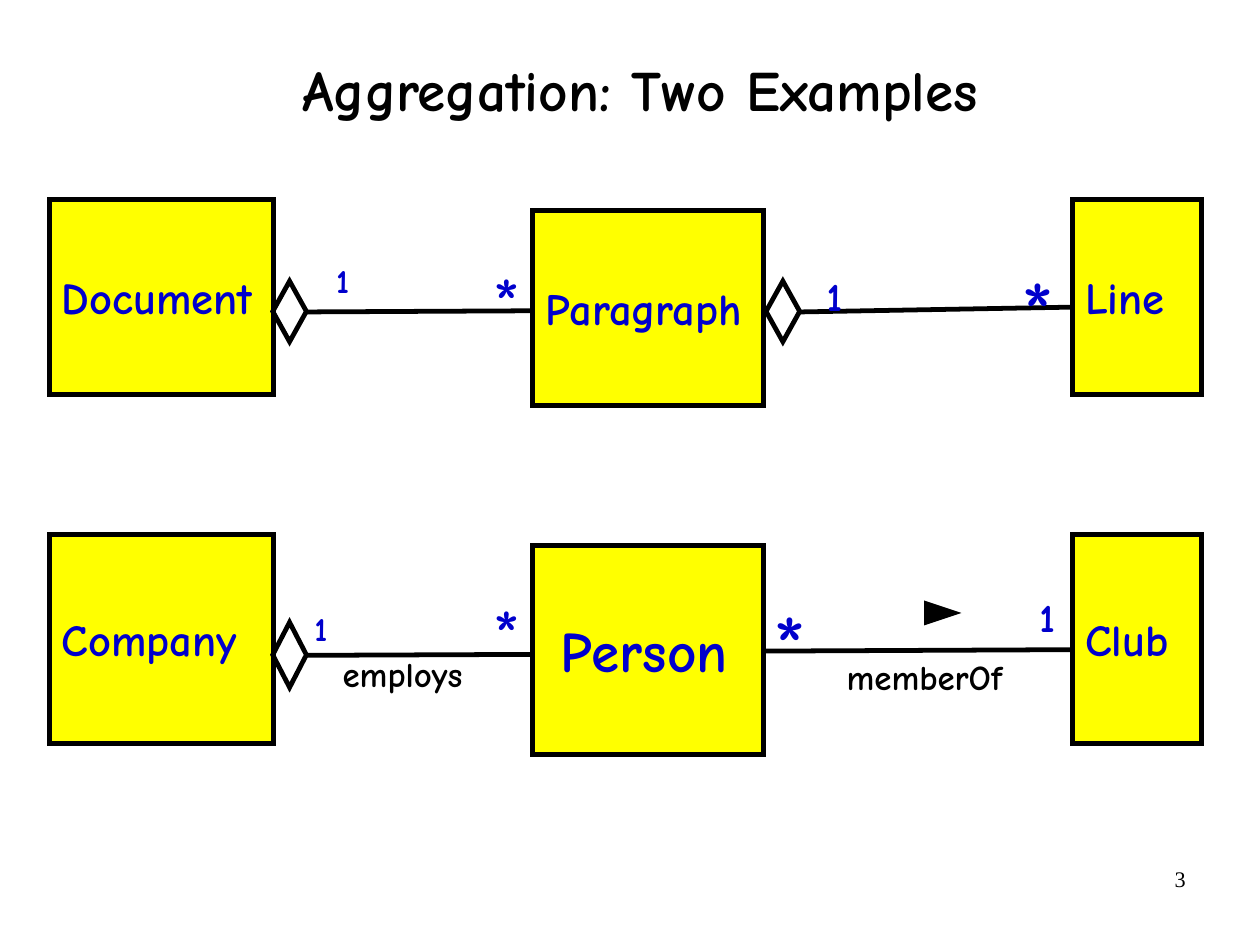
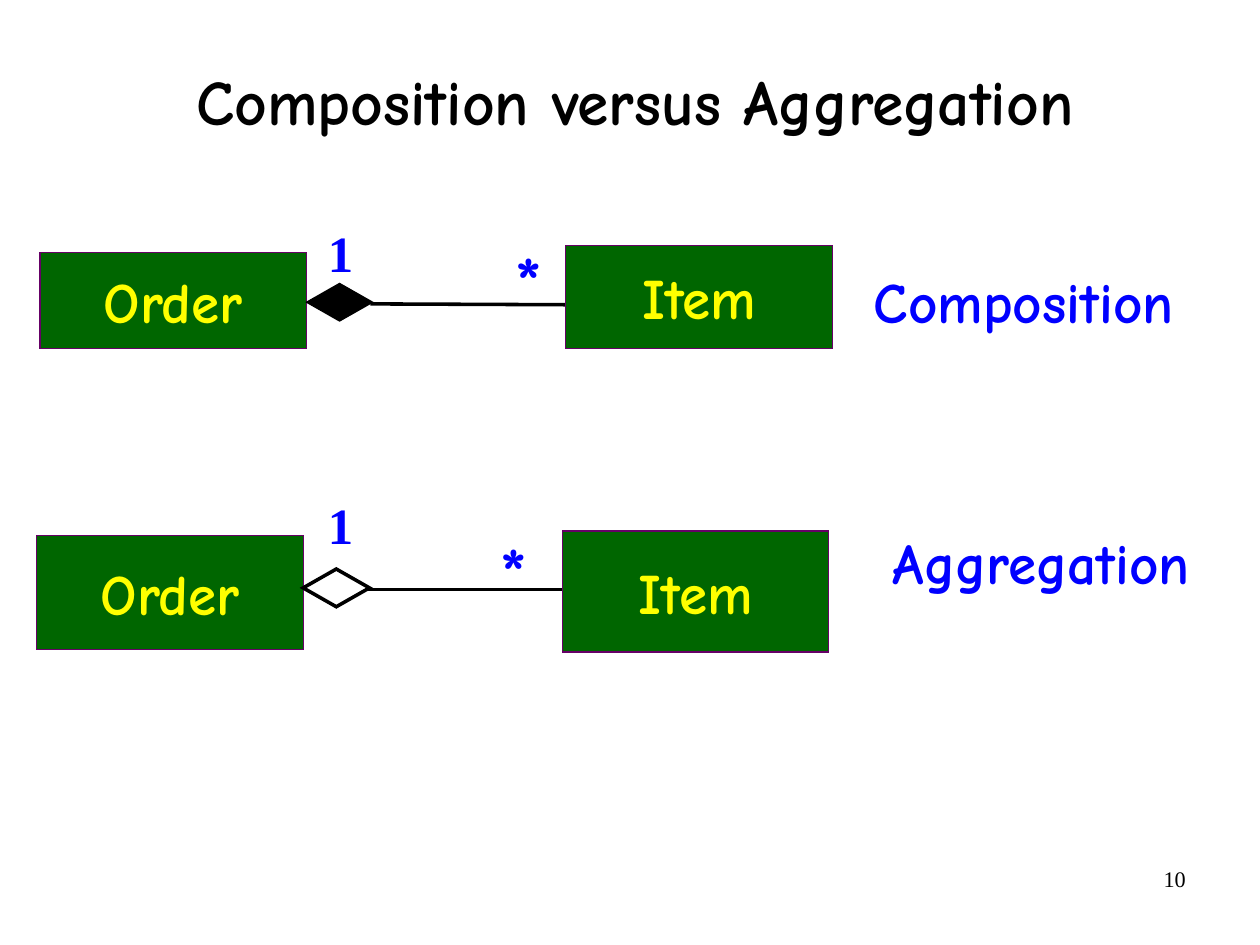
from pptx import Presentation
from pptx.dml.color import RGBColor
from pptx.enum.shapes import MSO_CONNECTOR, MSO_SHAPE
from pptx.enum.text import MSO_ANCHOR, MSO_AUTO_SIZE, PP_ALIGN
from pptx.oxml.ns import qn
from pptx.util import Cm, Emu, Inches, Pt

RECT, TRIANGLE = MSO_SHAPE.RECTANGLE, MSO_SHAPE.ISOSCELES_TRIANGLE
DECISION, DIAMOND = MSO_SHAPE.FLOWCHART_DECISION, MSO_SHAPE.DIAMOND
STRAIGHT, NO_FIT = MSO_CONNECTOR.STRAIGHT, MSO_AUTO_SIZE.NONE
TOP, MIDDLE = MSO_ANCHOR.TOP, MSO_ANCHOR.MIDDLE
LEFT, CENTER, RIGHT = PP_ALIGN.LEFT, PP_ALIGN.CENTER, PP_ALIGN.RIGHT

COLORS = {"black": "000000", "white": "FFFFFF", "yellow": "FFFF00", "navy": "0000CC",
          "blue": "0000FF", "green": "006600", "purple": "660066"}
COMIC, TIMES = "Comic Neue", "Times New Roman"

prs = Presentation()
prs.slide_width, prs.slide_height = Cm(28), Cm(21)
# The grid has 100 columns and 100 rows
COL, ROW = prs.slide_width / 100, prs.slide_height / 100


def write(shape, text, size=28, color="black", font=COMIC, bold=True, align=LEFT,
          anchor=TOP, inset=(0.1, 0.05), wrap=False, spacing=None):
    frame = shape.text_frame
    frame.auto_size, frame.word_wrap = NO_FIT, wrap
    frame.vertical_anchor = anchor
    frame.margin_left = frame.margin_right = Inches(inset[0])
    frame.margin_top = frame.margin_bottom = Inches(inset[1])
    paragraph = frame.paragraphs[0]
    paragraph.alignment, paragraph.line_spacing = align, spacing
    run = paragraph.add_run()
    run.text = text
    run.font.name, run.font.size, run.font.bold = font, Pt(size), bold
    run.font.color.rgb = RGBColor.from_string(COLORS[color])


def place(slide, x, y, width, height, preset=None, fill=None, line="black", weight=3):
    """Add a preset shape at a grid cell, or a text box when no preset is given."""
    box = Emu(int(x * COL)), Emu(int(y * ROW)), Emu(int(width * COL)), Emu(int(height * ROW))
    if preset is None:
        return slide.shapes.add_textbox(*box)
    shape = slide.shapes.add_shape(preset, *box)
    shape.shadow.inherit = False
    if fill:
        shape.fill.solid()
        shape.fill.fore_color.rgb = RGBColor.from_string(COLORS[fill])
    else:
        shape.fill.background()
    shape.line.color.rgb = RGBColor.from_string(COLORS[line])
    shape.line.width = Pt(weight)
    # Sharp corners
    outline = shape._element.spPr.find(qn("a:ln"))
    outline.append(outline.makeelement(qn("a:miter"), {"lim": "800000"}))
    return shape


# Titles, page numbers and association lines
pages = [
    ("Aggregation: Two Examples", 36, (3.15, -1.09, 95.28, 21.77), "3", 3,
     [(24.32, 33.01, 42.29, 32.89), (63.52, 33.01, 85.12, 32.5),
      (24.32, 69.35, 42.29, 69.25), (60.62, 68.9, 85.12, 68.75)]),
    ("Composition versus Aggregation", 40, (3.9, 2.66, 93.01, 16.69), "10", 2.25,
     [(29.4, 32.16, 45.05, 32.25), (29.22, 62.39, 44.92, 62.39)]),
]
slides = []
for heading, size, (x, y, width, height), number, weight, associations in pages:
    slide = prs.slides.add_slide(prs.slide_layouts[5])
    slides.append(slide)
    title = slide.shapes.title
    title.left, title.top = Emu(int(x * COL)), Emu(int(y * ROW))
    title.width, title.height = Emu(int(width * COL)), Emu(int(height * ROW))
    write(title, heading, size=size, align=CENTER, anchor=MIDDLE, inset=(0, 0),
          wrap=True, spacing=0.94)
    write(place(slide, 71.69, 91, 23.32, 6.89), number, size=14, font=TIMES,
          bold=False, align=RIGHT, wrap=True)
    for x1, y1, x2, y2 in associations:
        link = slide.shapes.add_connector(STRAIGHT, Emu(int(x1 * COL)), Emu(int(y1 * ROW)),
                                          Emu(int(x2 * COL)), Emu(int(y2 * ROW)))
        link.line.color.rgb = RGBColor.from_string(COLORS["black"])
        link.line.width = Pt(weight)
        properties = link._element.spPr
        properties.append(properties.makeelement(qn("a:effectLst"), {}))

examples, comparison = slides

# Examples: two rows of three classes
class_columns = [(3.9, 17.79, 0), (42.29, 18.33, 1.15), (85.12, 10.25, 0)]
class_rows = [(21.1, 20.68, ("Document", "Paragraph", "Line")),
              (56.55, 22.13, ("Company", "Person", "Club"))]
for top, height, names in class_rows:
    for (left, width, drop), name in zip(class_columns, names):
        large = name == "Person"
        box = place(examples, left, top + drop, width, height, RECT, "yellow")
        write(box, name, size=36 if large else 28, color="navy", anchor=MIDDLE,
              inset=(0.24 if large else 0.11, 0.06))

# Examples: aggregation diamonds
for left, top, height in [(21.65, 29.75, 6.41), (60.8, 29.75, 6.41), (21.65, 65.85, 6.89)]:
    place(examples, left, top, 2.67, height, DECISION)

# Examples: multiplicities, sized by their type
for count, size, left, top in [
        ("1", 21, 26.68, 27.57), ("*", 46, 39.11, 27.2),
        ("1", 25, 65.61, 28.78), ("*", 56, 81.03, 27.15),
        ("1", 21, 24.95, 64.4), ("*", 46, 39.11, 62.4),
        ("*", 56, 61.35, 62.5), ("1", 25, 82.5, 62.7)]:
    write(place(examples, left, top, size * 0.07, size * 0.2), count, size=size,
          color="navy", bold=count == "1", inset=(0, 0))

# Examples: association names and reading direction
for name, left, top, width in [("employs", 26.2, 68.3, 12.52),
                               ("memberOf", 66.2, 68.7, 16.24)]:
    write(place(examples, left, top, width, 6.17), name, size=22, inset=(0.11, 0.06))
direction = place(examples, 73.87, 63.24, 1.63, 3.26, TRIANGLE, "black", weight=2)
direction.rotation = 90

# Comparison: one row for each kind of relation
relations = [
    ("Composition", 68.45, 27.57, 3.18, (26.72, 10.16), (26, 10.88),
     (29.99, "black", 0.75), 22.85, (40.02, 24.43)),
    ("Aggregation", 69.96, 55.26, 2.92, (56.7, 12.05), (56.2, 12.8),
     (60.22, "white", 2.25), 51.7, (38.84, 55.2)),
]
for (relation, label_left, label_top, left, order, item,
     (diamond_top, diamond_fill, weight), one_top, star) in relations:
    for name, offset, (top, height) in [("Order", 0, order), ("Item", 41.73, item)]:
        box = place(comparison, left + offset, top, 21.14, height, RECT, "green", "purple", 0.75)
        write(box, name, size=36, color="yellow", align=CENTER, anchor=MIDDLE)
    place(comparison, left + 21.14, diamond_top, 5.26, 3.99, DIAMOND, diamond_fill, weight=weight)
    write(place(comparison, 25.14, one_top, 3.63, 7.74), "1", size=32, color="blue",
          font=TIMES, wrap=True)
    write(place(comparison, *star, 3.63, 10.16), "*", size=44, color="blue", wrap=True)
    write(place(comparison, label_left, label_top, 30, 8.59), relation, size=36,
          color="blue", wrap=True)

prs.save("out.pptx")
